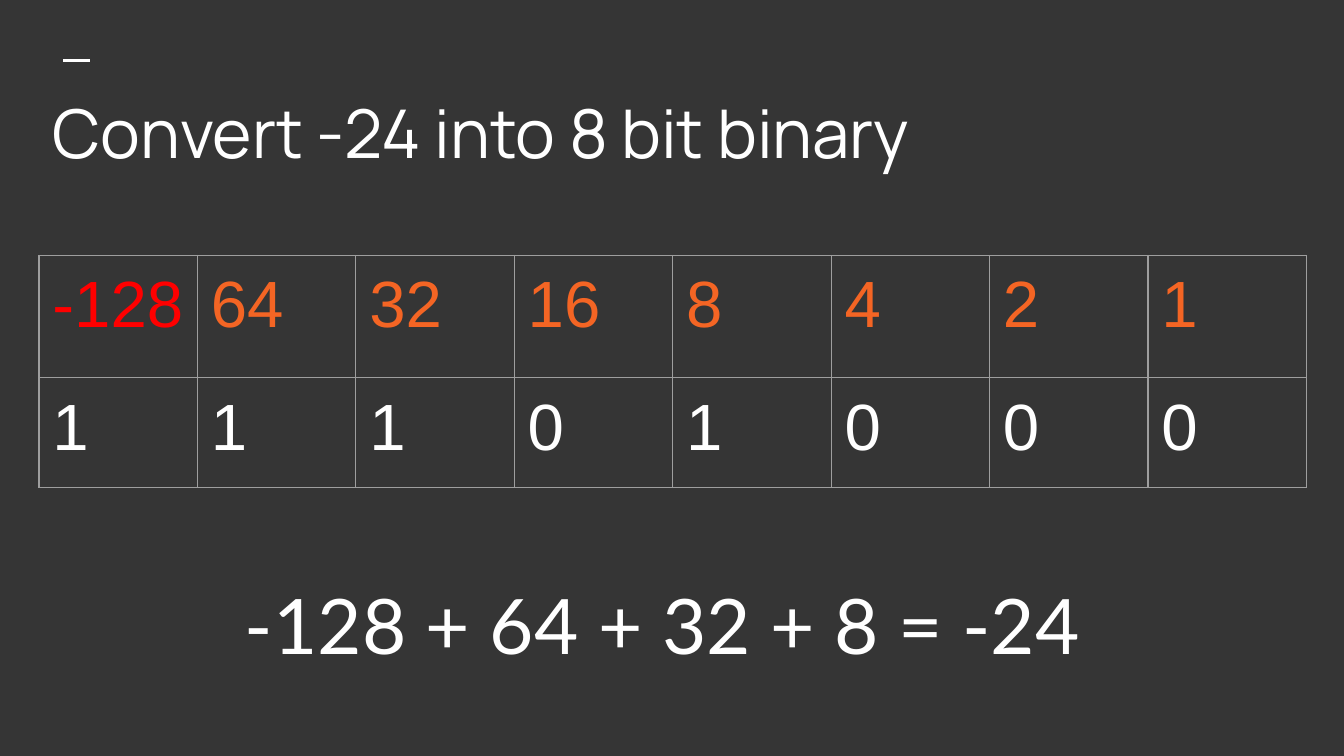
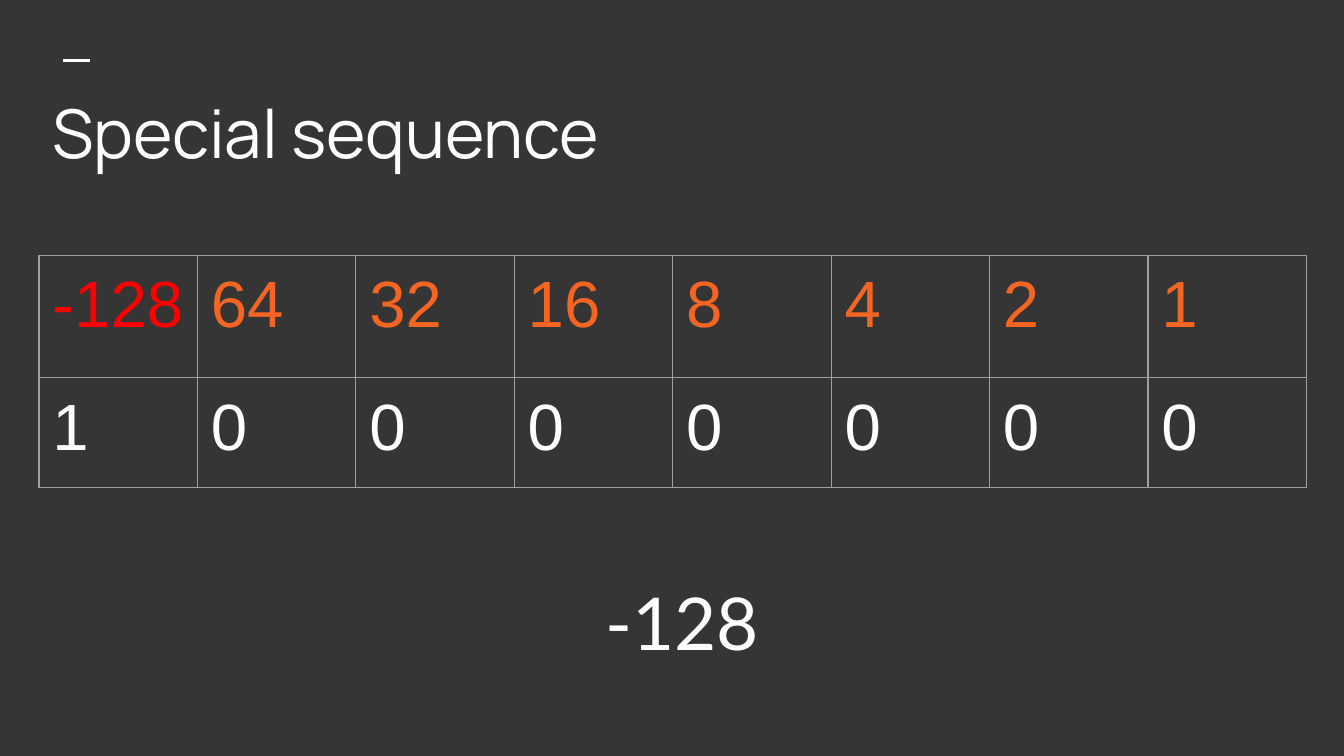
import lxml.etree
import pptx
import pptx.dml.color
import pptx.enum.shapes
import pptx.enum.text
import pptx.oxml.ns
import pptx.util

Inches = pptx.util.Inches
Pt = pptx.util.Pt
qn = pptx.oxml.ns.qn
LEFT_ALIGN = pptx.enum.text.PP_ALIGN.LEFT
CENTER_ALIGN = pptx.enum.text.PP_ALIGN.CENTER

PLACE_VALUES = ["-128", "64", "32", "16", "8", "4", "2", "1"]


def color(hex_value):
    return pptx.dml.color.RGBColor.from_string(hex_value)


class BinaryDeck:
    BACKGROUND = "353535"
    WHITE = "FFFFFF"
    SIGN_BIT = "FF0000"
    PLACE_VALUE = "F46524"
    GRID = "9E9E9E"
    LEFT = Inches(0.29)
    WIDTH = Inches(9.43)
    INSET = Inches(0.1)
    ROW_HEIGHTS = [Inches(0.91), Inches(0.82)]

    def __init__(self):
        self.prs = pptx.Presentation()
        self.prs.slide_width = Inches(10)
        self.prs.slide_height = Inches(5.625)
        backdrop = self.prs.slide_master.background.fill
        backdrop.solid()
        backdrop.fore_color.rgb = color(self.BACKGROUND)
        self.slide = None

    def add_slide(self, heading):
        self.slide = self.prs.slides.add_slide(self.prs.slide_layouts[5])
        self.add_accent()
        self.add_title(heading)

    def add_accent(self):
        accent = self.slide.shapes.add_connector(
            pptx.enum.shapes.MSO_CONNECTOR.STRAIGHT,
            Inches(0.47), Inches(0.45), Inches(0.67), Inches(0.45))
        accent.line.color.rgb = color(self.WHITE)
        accent.line.width = Pt(1.5)
        properties = accent.element.find(qn("p:spPr"))
        lxml.etree.SubElement(properties, qn("a:effectLst"))

    def add_title(self, heading):
        title = self.slide.shapes.title
        title.left, title.top = self.LEFT, Inches(0.59)
        title.width, title.height = self.WIDTH, Inches(0.78)
        self.set_text(title.text_frame, heading, "Manrope", 36, LEFT_ALIGN)
        title.text_frame.vertical_anchor = pptx.enum.text.MSO_ANCHOR.MIDDLE
        title.text_frame.paragraphs[0].space_after = Pt(10)

    def add_result(self, result, size, height):
        box = self.slide.shapes.add_textbox(
            self.LEFT, Inches(4.2), self.WIDTH, Inches(height))
        self.set_text(box.text_frame, result, "Lato", size, CENTER_ALIGN)

    def add_bit_table(self, bits):
        rows = [PLACE_VALUES, list(bits)]
        table = self.slide.shapes.add_table(
            len(rows), len(PLACE_VALUES), self.LEFT, Inches(1.9),
            self.WIDTH, sum(self.ROW_HEIGHTS)).table
        table.first_row = False
        table.horz_banding = False
        for r, values in enumerate(rows):
            table.rows[r].height = self.ROW_HEIGHTS[r]
            for c, value in enumerate(values):
                if r == 1:
                    ink = self.WHITE
                else:
                    ink = self.SIGN_BIT if c == 0 else self.PLACE_VALUE
                self.fill_cell(table.cell(r, c), value, ink)

    def fill_cell(self, cell, value, ink):
        cell.margin_left = cell.margin_right = self.INSET
        cell.margin_top = cell.margin_bottom = self.INSET
        cell.text = value
        self.set_font(cell.text_frame.paragraphs[0], "Arial", 35, ink)
        cell.fill.background()
        properties = cell._tc.get_or_add_tcPr()
        for position, side in enumerate(("lnL", "lnR", "lnT", "lnB")):
            border = lxml.etree.Element(qn("a:" + side), w=str(Pt(0.75)))
            paint = lxml.etree.SubElement(border, qn("a:solidFill"))
            lxml.etree.SubElement(paint, qn("a:srgbClr"), val=self.GRID)
            properties.insert(position, border)

    def set_text(self, frame, text, font, size, alignment):
        frame.word_wrap = True
        frame.auto_size = pptx.enum.text.MSO_AUTO_SIZE.NONE
        frame.margin_left = frame.margin_right = self.INSET
        frame.margin_top = frame.margin_bottom = self.INSET
        frame.text = text
        frame.paragraphs[0].alignment = alignment
        self.set_font(frame.paragraphs[0], font, size, self.WHITE)

    def set_font(self, paragraph, font, size, ink):
        paragraph.font.name = font
        paragraph.font.size = Pt(size)
        paragraph.font.color.rgb = color(ink)


def main():
    deck = BinaryDeck()

    deck.add_slide("Convert -24 into 8 bit binary")
    deck.add_bit_table("11101000")
    deck.add_result("-128 + 64 + 32 + 8 = -24 ", 41, 0.89)

    deck.add_slide("Special sequence")
    deck.add_bit_table("10000000")
    deck.add_result(" -128", 39, 0.86)

    deck.prs.save("out.pptx")


if __name__ == "__main__":
    main()
